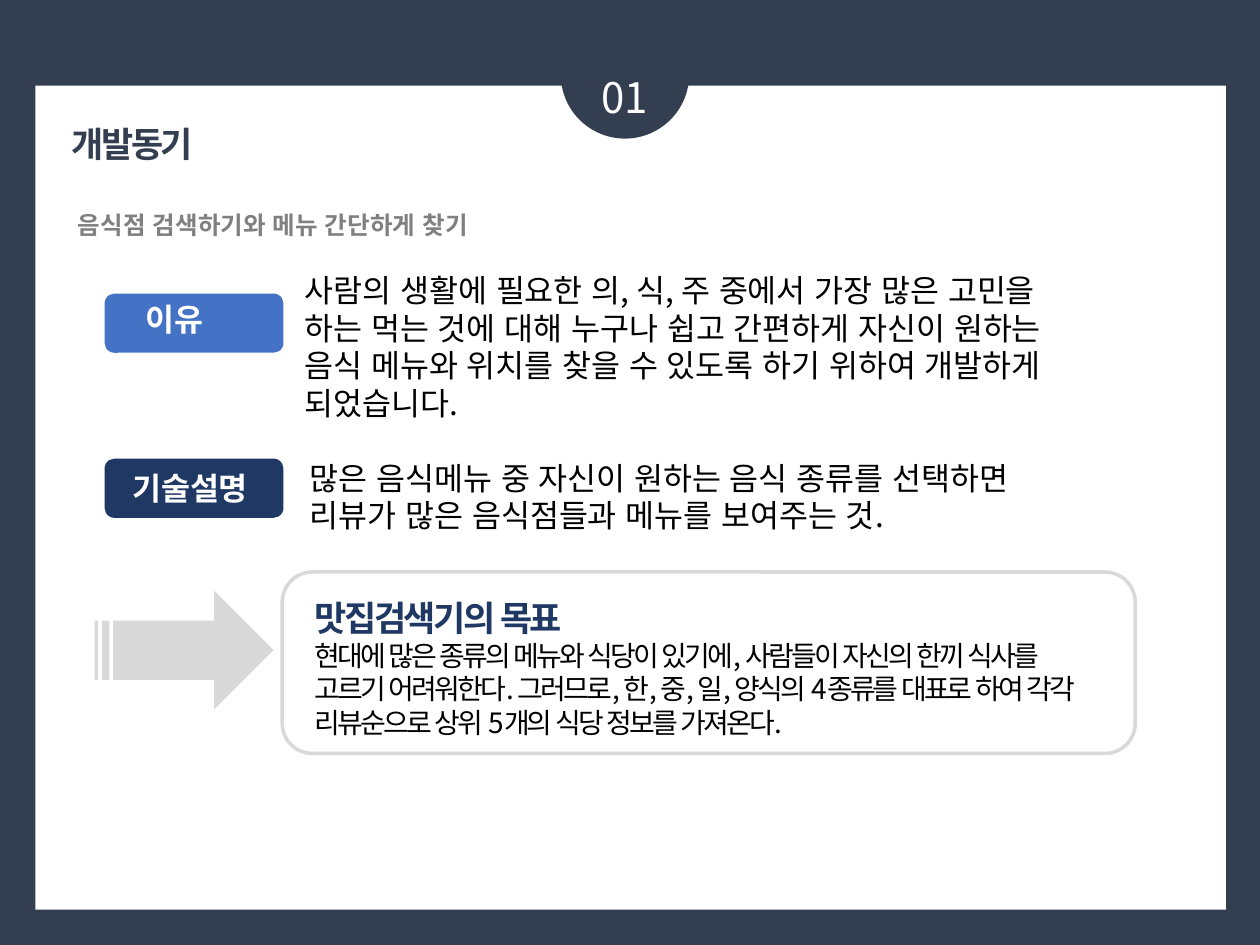
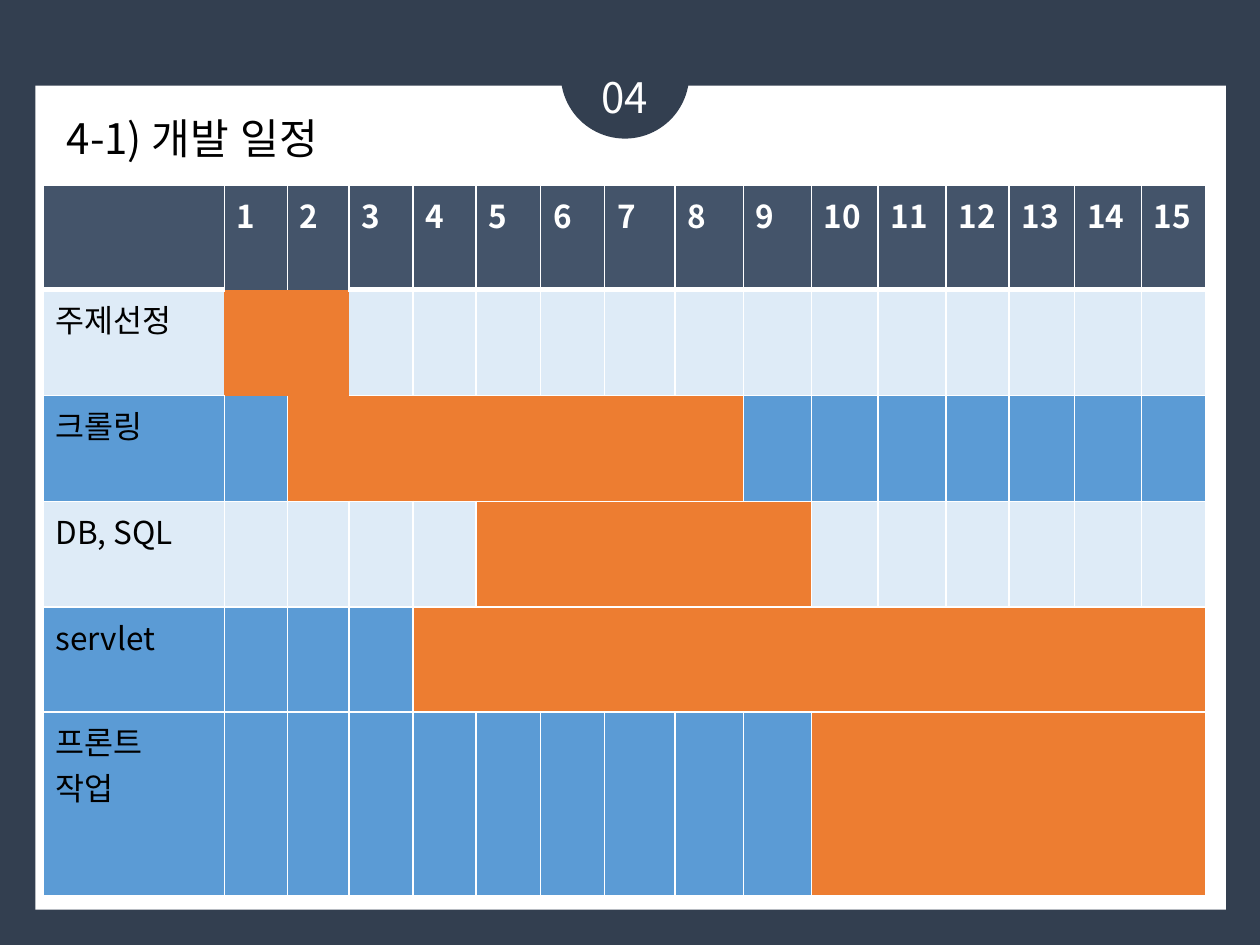
from typing import NamedTuple

from lxml import etree
from pptx import Presentation
from pptx.dml.color import RGBColor
from pptx.enum import shapes, text
from pptx.oxml.ns import qn
from pptx.util import Emu, Pt

# Shared style
PX = 9144  # one px is a hundredth of an inch
FONT = "Noto Sans CJK KR"
PLAIN = "Arial"
HEX = {
    "back": "333F50", "white": "FFFFFF", "black": "000000", "navy": "203864",
    "blue": "4472C4", "gray": "808080", "pale": "D9D9D9", "head": "44546A",
    "light": "DEEBF7", "sky": "5B9BD5", "bar": "ED7D31",
}
KIND = shapes.MSO_SHAPE
LEFT, MID = text.PP_ALIGN.LEFT, text.PP_ALIGN.CENTER


class Box(NamedTuple):
    x: int
    y: int
    w: int
    h: int


class Style(NamedTuple):
    size: int
    tint: str = "black"
    bold: bool = False
    lead: float = 1.0
    track: int = 0  # hundredths of a point
    font: str = FONT
    east: str = PLAIN  # sets the width of spaces between Korean words
    align: text.PP_ALIGN = LEFT


class Form(NamedTuple):
    kind: KIND
    box: Box
    fill: str = ""
    line: str = ""


class Note(NamedTuple):
    box: Box
    lines: list[tuple[str, Style]]


class Task(NamedTuple):
    name: list[str]
    start: int
    end: int
    fill: str


# Drawing helpers
def rgb(name: str) -> RGBColor:
    return RGBColor.from_string(HEX[name])


def emu(box: Box) -> list[Emu]:
    return [Emu(n * PX) for n in box]


def write(frame, lines: list[tuple[str, Style]]) -> None:
    for i, (words, style) in enumerate(lines):
        para = frame.add_paragraph() if i else frame.paragraphs[0]
        para.alignment, para.line_spacing = style.align, style.lead
        run = para.add_run()
        run.text = words
        font = run.font
        font.name, font.size, font.bold = style.font, Pt(style.size), style.bold
        font.color.rgb = rgb(style.tint)
        props = run._r.get_or_add_rPr()
        if style.track:
            props.set("spc", str(style.track))
        east = etree.Element(qn("a:ea"), typeface=style.east)
        props.find(qn("a:latin")).addnext(east)


def draw(slide, form: Form) -> None:
    shape = slide.shapes.add_shape(form.kind, *emu(form.box))
    shape.shadow.inherit = False
    if form.fill:
        shape.fill.solid()
        shape.fill.fore_color.rgb = rgb(form.fill)
    else:
        shape.fill.background()
    if form.line:
        shape.line.color.rgb = rgb(form.line)
        shape.line.width = Pt(2)
    else:
        shape.line.fill.background()


def note(slide, item: Note) -> None:
    frame = slide.shapes.add_textbox(*emu(item.box)).text_frame
    frame.word_wrap = True
    write(frame, item.lines)


def page(deck, number: str, title: str, box: Box, style: Style):
    """Add a slide with the panel, the numbered badge and the title."""
    slide = deck.slides.add_slide(deck.slide_layouts[5])
    slide.background.fill.solid()
    slide.background.fill.fore_color.rgb = rgb("back")
    draw(slide, Form(KIND.RECTANGLE, Box(28, 68, 945, 654), "white"))
    draw(slide, Form(KIND.OVAL, Box(445, 8, 102, 102), "back"))
    note(slide, Note(Box(437, 52, 118, 50), [(number, Style(24, "white", align=MID))]))
    head = slide.shapes.title
    head.left, head.top, head.width, head.height = emu(box)
    frame = head.text_frame
    frame.word_wrap, frame.auto_size = True, text.MSO_AUTO_SIZE.NONE
    frame.vertical_anchor = text.MSO_ANCHOR.TOP
    write(frame, [(title, style)])
    slide.shapes._spTree.append(head._element)  # above the panel
    return slide


# Slide with the motive
BODY = Style(18)
TAG = Style(18, "white", bold=True)
FORMS = [
    Form(KIND.ROUNDED_RECTANGLE, Box(83, 364, 142, 47), "navy"),
    Form(KIND.ROUNDED_RECTANGLE, Box(83, 233, 142, 47), "blue"),
    Form(KIND.STRIPED_RIGHT_ARROW, Box(75, 469, 142, 94), "pale"),
    Form(KIND.ROUNDED_RECTANGLE, Box(224, 454, 677, 144), line="pale"),
]
NOTES = [
    Note(Box(52, 162, 392, 34), [
        ("음식점 검색하기와 메뉴 간단하게 찾기", Style(14, "gray", bold=True))]),
    Note(Box(106, 233, 91, 40), [("이유", TAG)]),
    Note(Box(232, 210, 647, 131), [
        ("사람의 생활에 필요한 의, 식, 주 중에서 가장 많은 고민을 하는 먹는 것에 대해 "
         "누구나 쉽고 간편하게 자신이 원하는 음식 메뉴와 위치를 찾을 수 있도록 하기 "
         "위하여 개발하게 되었습니다.", BODY)]),
    Note(Box(95, 367, 123, 40), [("기술설명", TAG)]),
    Note(Box(236, 359, 669, 101), [
        ("많은 음식메뉴 중 자신이 원하는 음식 종류를 선택하면", BODY),
        ("리뷰가 많은 음식점들과 메뉴를 보여주는 것.", BODY)]),
    Note(Box(240, 435, 630, 158), [
        ("맛집검색기의 목표", Style(20, "navy", bold=True, lead=2.0, track=-150)),
        ("현대에 많은 종류의 메뉴와 식당이 있기에, 사람들이 자신의 한끼 식사를 고르기 "
         "어려워한다. 그러므로, 한, 중, 일, 양식의 4종류를 대표로 하여 각각 리뷰순으로 "
         "상위 5개의 식당 정보를 가져온다.", Style(16, track=-150))]),
]


def motive(deck) -> None:
    slide = page(deck, "01", "개발동기", Box(47, 92, 189, 84),
                 Style(20, "back", bold=True, track=-150, font=PLAIN))
    for form in FORMS:
        draw(slide, form)
    for item in NOTES:
        note(slide, item)


# Slide with the schedule
WIDTHS = [144, 50, 49, 51, 50, 51, 51, 56, 54, 54, 53, 54, 50, 52, 53, 51]
HEIGHTS = [83, 84, 84, 84, 83, 146]
TASKS = [
    Task(["주제선정"], 1, 2, "light"),
    Task(["크롤링"], 2, 8, "sky"),
    Task(["DB, SQL"], 5, 9, "light"),
    Task(["servlet"], 4, 15, "sky"),
    Task(["프론트", "작업"], 10, 15, "sky"),
]


def edges(row: int, col: int) -> dict[str, int]:
    """Border widths of a cell; the first bar and its neighbours share none."""
    first, last = TASKS[0].start, TASKS[0].end
    width = dict.fromkeys("LRTB", 1)
    under = first <= col <= last
    if row == 0:
        width["B"] = 0 if under else 3
    elif row == 1:
        if under:
            width = dict.fromkeys("LRTB", 0)
        else:
            width["T"] = 3
            if col == first - 1:
                width["R"] = 0
            if col == last + 1:
                width["L"] = 0
    elif row == 2 and first <= col <= TASKS[1].end:
        width["T"] = 0
    return width


def paint(cell, fill: str, width: dict[str, int]) -> None:
    props = cell._tc.get_or_add_tcPr()
    for side, points in width.items():
        line = etree.SubElement(props, qn(f"a:ln{side}"), w=str(Pt(points)))
        if points:
            solid = etree.SubElement(line, qn("a:solidFill"))
            etree.SubElement(solid, qn("a:srgbClr"), val=HEX["white"])
        else:
            etree.SubElement(line, qn("a:noFill"))
    cell.fill.solid()
    cell.fill.fore_color.rgb = rgb(fill)


def plan(deck) -> None:
    slide = page(deck, "04", "4-1) 개발 일정", Box(43, 84, 587, 50), Style(24))
    box = Box(34, 147, sum(WIDTHS), sum(HEIGHTS))
    grid = slide.shapes.add_table(len(HEIGHTS), len(WIDTHS), *emu(box)).table
    grid.first_row = grid.horz_banding = False
    for col, wide in zip(grid.columns, WIDTHS):
        col.width = Emu(wide * PX)
    for row, high in zip(grid.rows, HEIGHTS):
        row.height = Emu(high * PX)

    # Week numbers
    week = Style(18, "white", bold=True, east=FONT)
    for col in range(len(WIDTHS)):
        cell = grid.cell(0, col)
        paint(cell, "head", edges(0, col))
        if col:
            write(cell.text_frame, [(str(col), week)])

    # Tasks and their bars
    label = Style(18, east=FONT)
    for row, task in enumerate(TASKS, 1):
        for col in range(len(WIDTHS)):
            busy = task.start <= col <= task.end
            paint(grid.cell(row, col), "bar" if busy else task.fill, edges(row, col))
        write(grid.cell(row, 0).text_frame, [(line, label) for line in task.name])
        grid.cell(row, task.start).merge(grid.cell(row, task.end))


def main() -> None:
    deck = Presentation()
    deck.slide_width, deck.slide_height = Emu(1000 * PX), Emu(750 * PX)
    motive(deck)
    plan(deck)
    deck.save("out.pptx")


if __name__ == "__main__":
    main()
